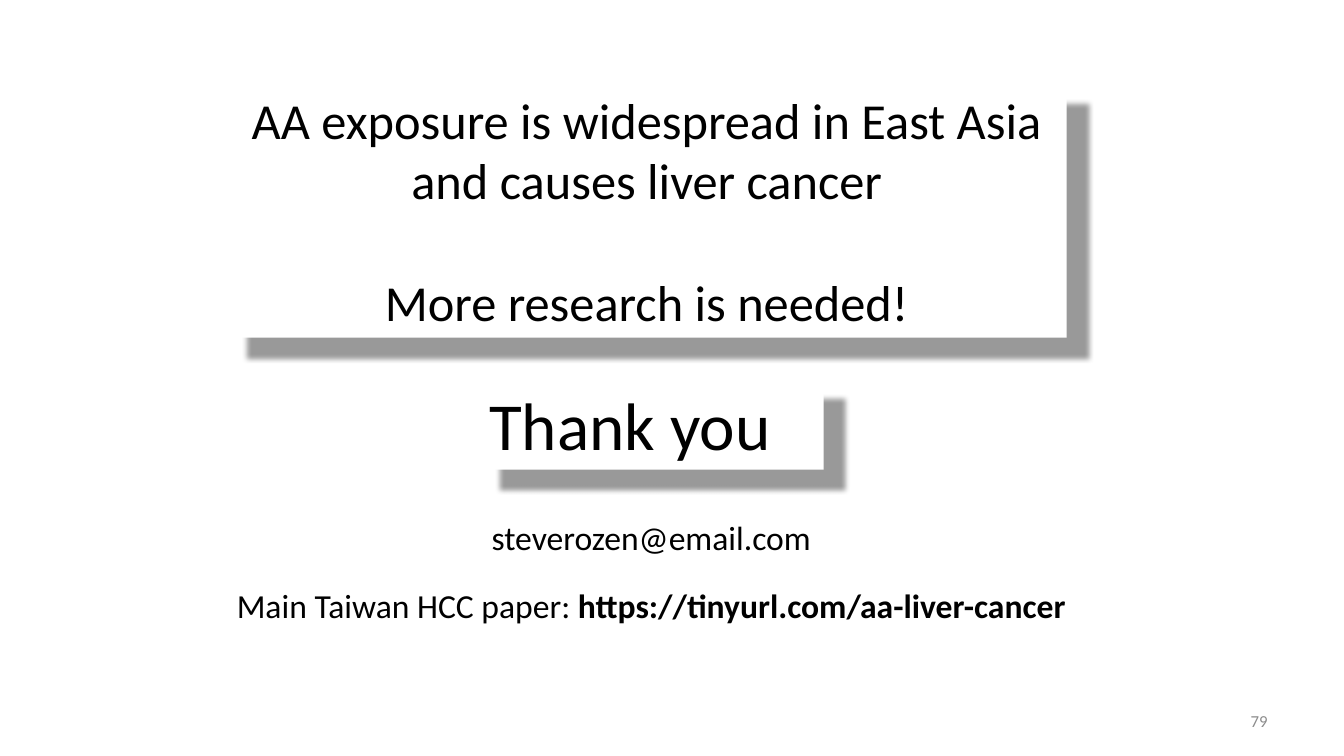
from lxml import etree
from pptx import Presentation
from pptx.dml.color import RGBColor
from pptx.enum.shapes import MSO_SHAPE
from pptx.enum.text import MSO_ANCHOR, PP_ALIGN
from pptx.oxml.ns import qn
from pptx.util import Emu, Pt

PX = 9144  # 100 px to the inch
FONT = "Calibri"
BLACK, WHITE, GREY = "000000", "FFFFFF", "8C8C8C"
LEFT, CENTER, RIGHT = PP_ALIGN.LEFT, PP_ALIGN.CENTER, PP_ALIGN.RIGHT
TOP, MIDDLE = MSO_ANCHOR.TOP, MSO_ANCHOR.MIDDLE
RECT = MSO_SHAPE.RECTANGLE


def px(*lengths):
    return [Emu(n * PX) for n in lengths]


def rgb(color):
    return RGBColor.from_string(color)


def add_run(p, text, size=24, color=BLACK, bold=False):
    r = p.add_run()
    r.text = text
    r.font.name = FONT
    r.font.size = Pt(size)
    r.font.bold = bold
    r.font.color.rgb = rgb(color)


def write(tf, paragraphs, align=LEFT, anchor=TOP, wrap=True, gap=0, **style):
    """Each paragraph is a list of (text, bold) runs."""
    tf.word_wrap = wrap
    tf.vertical_anchor = anchor
    for i, runs in enumerate(paragraphs):
        p = tf.add_paragraph() if i else tf.paragraphs[0]
        p.alignment = align
        p.space_before = Pt(gap if i else 0)
        for text, bold in runs:
            add_run(p, text, bold=bold, **style)


def add_text(s, box, runs, **style):
    tb = s.shapes.add_textbox(*px(*box))
    write(tb.text_frame, [runs], **style)


def raise_card(sp):
    """White card with a soft shadow to the lower right."""
    sp.fill.solid()
    sp.fill.fore_color.rgb = rgb(WHITE)
    sp.line.fill.background()
    spPr = sp._element.spPr
    effects = etree.SubElement(spPr, qn("a:effectLst"))
    shadow = etree.SubElement(
        effects, qn("a:outerShdw"), blurRad=str(Pt(4)), dist=str(Pt(21)),
        dir=str(45 * 60000), algn="tl", rotWithShape="0")
    color = etree.SubElement(shadow, qn("a:srgbClr"), val=BLACK)
    etree.SubElement(color, qn("a:alpha"), val="40000")


def add_thanks(s):
    sp = s.shapes.title
    sp.left, sp.top, sp.width, sp.height = px(475, 375, 342, 91)
    raise_card(sp)
    write(sp.text_frame, [[("Thank you", False)]], size=48)


def add_message(s, box, lines):
    sp = s.shapes.add_shape(RECT, *px(*box))
    raise_card(sp)
    write(sp.text_frame, [[(line, False)] for line in lines],
          align=CENTER, gap=44, size=36)


def main():
    prs = Presentation()
    prs.slide_width, prs.slide_height = px(1333, 750)
    s = prs.slides.add_slide(prs.slide_layouts[5])

    # Take-home message and thanks
    add_thanks(s)
    add_message(s, (225, 83, 833, 252), [
        "AA exposure is widespread in East Asia and causes liver cancer",
        "More research is needed!"])

    # Contact and paper
    add_text(s, (475, 508, 339, 50), [("steverozen@email.com", False)],
             align=RIGHT, wrap=False)
    add_text(s, (225, 575, 845, 50),
             [("Main Taiwan HCC paper: ", False),
              ("https://tinyurl.com/aa-liver-cancer", True)], wrap=False)

    # Slide number
    add_text(s, (956, 695, 311, 40), [("79", False)],
             align=RIGHT, anchor=MIDDLE, size=12, color=GREY)

    prs.save("out.pptx")


if __name__ == "__main__":
    main()
